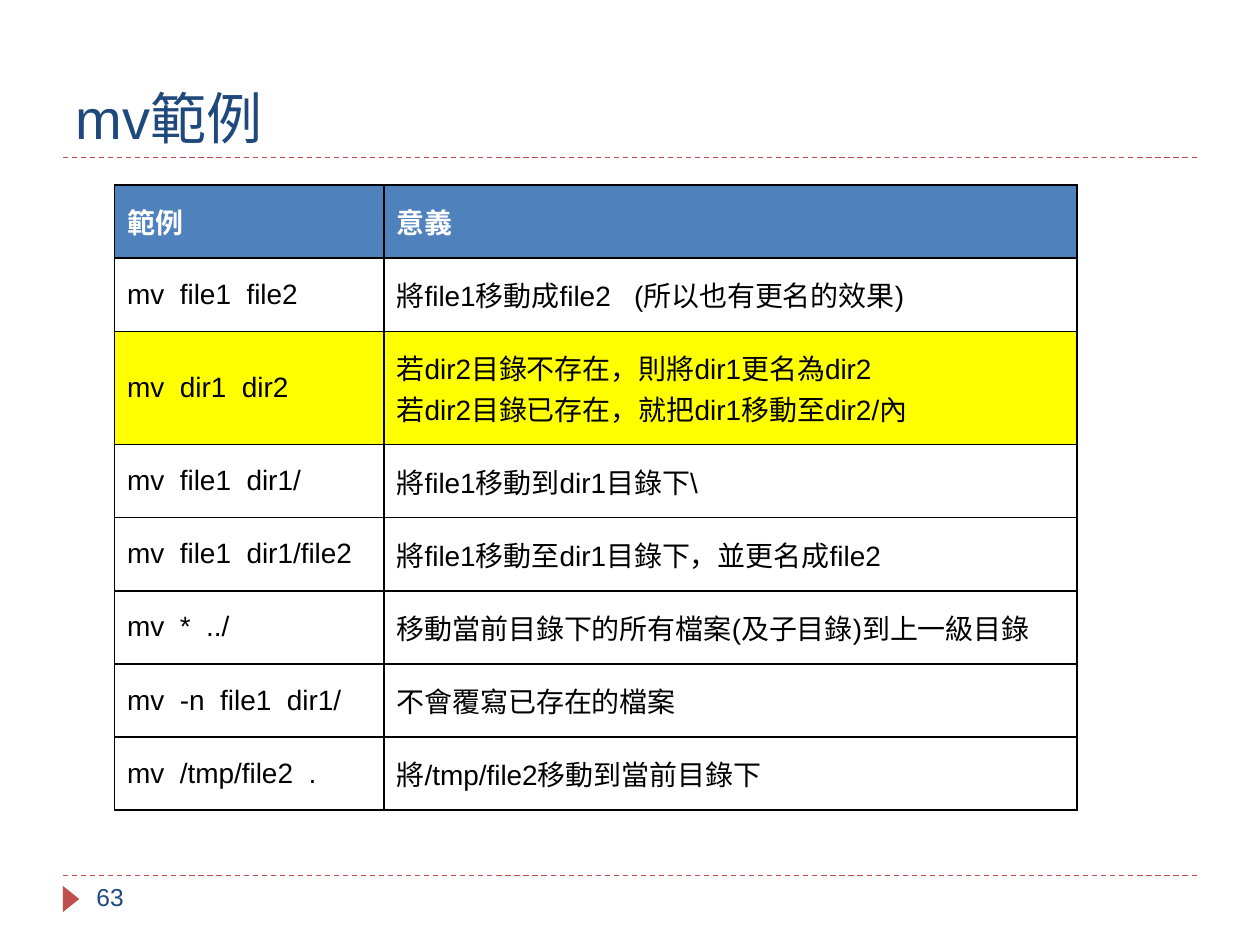
from lxml import etree
from pptx import Presentation
from pptx.dml.color import RGBColor
from pptx.enum.dml import MSO_LINE
from pptx.enum.shapes import MSO_CONNECTOR, MSO_SHAPE
from pptx.enum.text import MSO_ANCHOR, PP_ALIGN
from pptx.oxml.ns import qn
from pptx.util import Pt

STRAIGHT = MSO_CONNECTOR.STRAIGHT
TRIANGLE = MSO_SHAPE.ISOSCELES_TRIANGLE
DASH = MSO_LINE.DASH
TOP, MIDDLE, BOTTOM = MSO_ANCHOR.TOP, MSO_ANCHOR.MIDDLE, MSO_ANCHOR.BOTTOM
LEFT = PP_ALIGN.LEFT

FONT = "Arial"
COLORS = {
    "navy": "1F497D",
    "red": "C0504D",
    "header": "4F81BD",
    "highlight": "FFFF00",
    "white": "FFFFFF",
    "black": "000000",
}
BORDER_WIDTH = Pt(1)
COLUMN_SHARES = (0.28, 0.72)
ROW_HEIGHT, TALL_ROW_HEIGHT = 41.76, 64.8
HIGHLIGHTED_ROW = 2
EXAMPLES = [
    ("範例", "意義"),
    ("mv  file1  file2", "將file1移動成file2   (所以也有更名的效果)"),
    ("mv  dir1  dir2",
     "若dir2目錄不存在，則將dir1更名為dir2\n若dir2目錄已存在，就把dir1移動至dir2/內"),
    ("mv  file1  dir1/", "將file1移動到dir1目錄下\\"),
    ("mv  file1  dir1/file2", "將file1移動至dir1目錄下，並更名成file2"),
    ("mv  *  ../", "移動當前目錄下的所有檔案(及子目錄)到上一級目錄"),
    ("mv  -n  file1  dir1/", "不會覆寫已存在的檔案"),
    ("mv  /tmp/file2  .", "將/tmp/file2移動到當前目錄下"),
]


def color(name):
    """Return the named palette colour."""
    return RGBColor.from_string(COLORS[name])


def write(frame, text, size=16, ink="black", bold=False, anchor=MIDDLE):
    """Fill a text frame with one formatted paragraph per line of text."""
    frame.word_wrap = True
    frame.vertical_anchor = anchor
    for index, line in enumerate(text.split("\n")):
        para = frame.add_paragraph() if index else frame.paragraphs[0]
        para.alignment = LEFT
        span = para.add_run()
        span.text = line
        span.font.name = FONT
        span.font.size = Pt(size)
        span.font.bold = bold
        span.font.color.rgb = color(ink)


def add_rule(page, left, top, width):
    """Draw a dashed horizontal rule."""
    rule = page.shapes.add_connector(
        STRAIGHT, Pt(left), Pt(top), Pt(left + width), Pt(top))
    rule.line.color.rgb = color("red")
    rule.line.width = Pt(0.75)
    rule.line.dash_style = DASH
    etree.SubElement(rule._element.spPr, qn("a:effectLst"))


def add_title(page, left, top, width, height):
    """Place the title with a rule along its lower edge."""
    title = page.shapes.title
    title.left, title.top = Pt(left), Pt(top)
    title.width, title.height = Pt(width), Pt(height)
    write(title.text_frame, "mv範例", size=32, ink="navy", anchor=BOTTOM)
    add_rule(page, left, top + height, width)


def add_footer(page, left, top, width):
    """Place the footer rule, its marker and the page number."""
    add_rule(page, left, top, width)
    marker = page.shapes.add_shape(
        TRIANGLE, Pt(left - 2.9), Pt(top + 8.6), Pt(15), Pt(9.4))
    marker.rotation = 90
    marker.shadow.inherit = False
    marker.fill.solid()
    marker.fill.fore_color.rgb = color("red")
    marker.line.fill.background()
    number = page.shapes.add_textbox(Pt(left + 12), Pt(top), Pt(156), Pt(29))
    write(number.text_frame, "63", size=14, ink="navy", anchor=TOP)


def add_borders(cell):
    """Outline the four sides of a cell, ahead of its fill."""
    properties = cell._tc.get_or_add_tcPr()
    for index, side in enumerate(("lnL", "lnR", "lnT", "lnB")):
        line = etree.Element(qn(f"a:{side}"), w=str(BORDER_WIDTH))
        fill = etree.SubElement(line, qn("a:solidFill"))
        etree.SubElement(fill, qn("a:srgbClr"), val=COLORS["black"])
        properties.insert(index, line)


def add_examples(page, left, top, width):
    """Place the table of commands and their meanings."""
    heights = [TALL_ROW_HEIGHT if row == HIGHLIGHTED_ROW else ROW_HEIGHT
               for row in range(len(EXAMPLES))]
    table = page.shapes.add_table(
        len(EXAMPLES), len(COLUMN_SHARES),
        Pt(left), Pt(top), Pt(width), Pt(sum(heights))).table
    for column, share in zip(table.columns, COLUMN_SHARES):
        column.width = Pt(width * share)
    fills = {0: "header", HIGHLIGHTED_ROW: "highlight"}
    for row, texts in enumerate(EXAMPLES):
        table.rows[row].height = Pt(heights[row])
        header = row == 0
        for column, text in enumerate(texts):
            cell = table.cell(row, column)
            write(cell.text_frame, text, bold=header,
                  ink="white" if header else "black")
            cell.vertical_anchor = MIDDLE
            cell.fill.solid()
            cell.fill.fore_color.rgb = color(fills.get(row, "white"))
            add_borders(cell)


def main():
    """Build and save the deck."""
    deck = Presentation()
    deck.slide_width, deck.slide_height = Pt(720), Pt(540)
    page = deck.slides.add_slide(deck.slide_layouts[5])
    add_title(page, 36, 12, 648, 78)
    add_examples(page, 65.5, 105.8, 550)
    add_footer(page, 36, 500.4, 648)
    deck.save("out.pptx")


if __name__ == "__main__":
    main()
